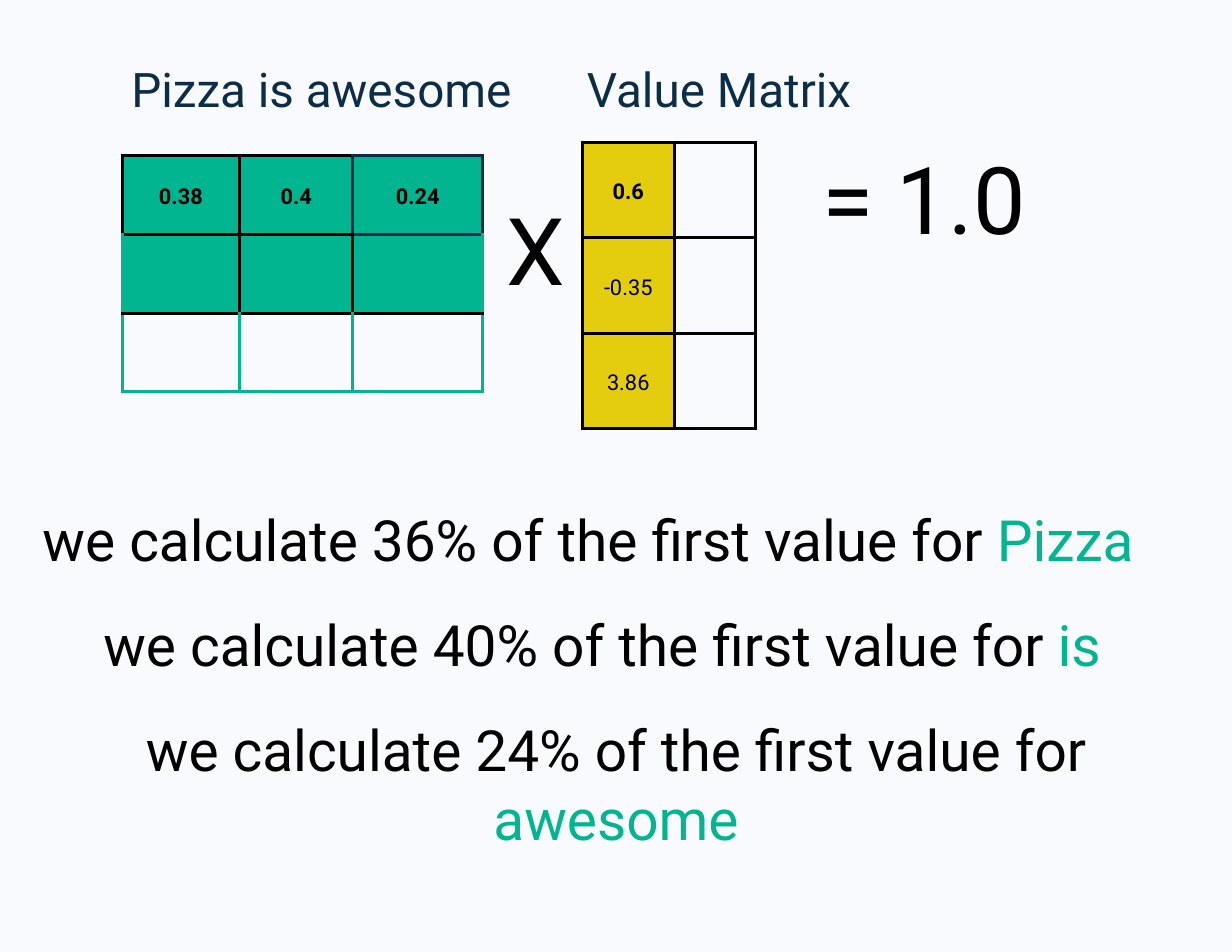
from dataclasses import dataclass
from lxml.etree import SubElement
from pptx import Presentation
from pptx.dml.color import RGBColor
from pptx.enum.text import MSO_ANCHOR, MSO_AUTO_SIZE, PP_ALIGN
from pptx.oxml.ns import qn
from pptx.util import Inches, Pt


@dataclass(frozen=True)
class Theme:
    font: str = "Roboto"
    page: str = "F8FAFD"
    black: str = "000000"
    navy: str = "0C2D48"
    teal: str = "02B591"
    gold: str = "E3CD0E"
    small: float = 14
    head: float = 30.6
    body: float = 36.5
    sign: float = 60
    edge: float = 2.25


THEME = Theme()
INKS = {"K": THEME.black, "N": THEME.navy, "T": THEME.teal}


def write(frame, parts, size, lead, bold=False):
    para = frame.paragraphs[0]
    para.alignment = PP_ALIGN.CENTER
    para.line_spacing = Pt(lead)
    para.font.name = THEME.font
    para.font.size = Pt(size)
    para.font.bold = bold
    for text, ink in parts:
        run = para.add_run()
        run.text = text
        run.font.color.rgb = RGBColor.from_string(ink)


def place(slide, box, parts, size, lead, shape=None):
    area = [Inches(n) for n in box]
    if shape is None:
        shape = slide.shapes.add_textbox(*area)
    else:
        shape.left, shape.top, shape.width, shape.height = area
    frame = shape.text_frame
    frame.word_wrap = True
    frame.auto_size = MSO_AUTO_SIZE.NONE
    frame.vertical_anchor = MSO_ANCHOR.TOP
    frame.margin_left = frame.margin_top = 0
    frame.margin_right = frame.margin_bottom = 0
    write(frame, parts, size, lead)


def rule(cell, inks):
    props = cell._tc.get_or_add_tcPr()
    for side, ink in zip("LRTB", inks):
        line = SubElement(props, qn(f"a:ln{side}"), w=str(Pt(THEME.edge)))
        fill = SubElement(line, qn("a:solidFill"))
        SubElement(fill, qn("a:srgbClr"), val=INKS[ink])


def grid(slide, box, cols, texts, fills, edges, bold):
    area = [Inches(n) for n in box]
    table = slide.shapes.add_table(len(texts), len(cols), *area).table
    table.first_row = table.horz_banding = False
    for col, wide in zip(table.columns, cols):
        col.width = Inches(wide)
    for r, row in enumerate(table.rows):
        for c, cell in enumerate(row.cells):
            rule(cell, edges[r][c])
            if fills[r][c]:
                cell.fill.solid()
                cell.fill.fore_color.rgb = RGBColor.from_string(fills[r][c])
            else:
                cell.fill.background()
            cell.vertical_anchor = MSO_ANCHOR.MIDDLE
            cell.margin_left = cell.margin_right = Inches(0.19)
            cell.margin_top = cell.margin_bottom = Inches(0.19)
            text = texts[r][c]
            parts = [(text, THEME.black)] if text else []
            write(cell.text_frame, parts, THEME.small, 19.6, r in bold)


def weights(slide, box):
    texts = [["0.38", "0.4", "0.24"], [""] * 3, [""] * 3]
    fills = [[THEME.teal] * 3, [THEME.teal] * 3, [None] * 3]
    edges = [["KKKK", "KNKK", "NNNN"],
             ["TKKK", "KKKK", "KTNK"],
             ["TTKT"] * 3]
    grid(slide, box, (1.05, 1.01, 1.16), texts, fills, edges, {0})


def values(slide, box):
    texts = [[text, ""] for text in ("0.6", "-0.35", "3.86")]
    fills = [[THEME.gold, None]] * 3
    grid(slide, box, (0.82, 0.73), texts, fills, [["KKKK"] * 2] * 3, {0})


def heads(slide, left, right):
    place(slide, left, [("Pizza is awesome", THEME.navy)], THEME.head, 37,
          slide.shapes.title)
    place(slide, right, [("Value Matrix", THEME.navy)], THEME.head, 37)


def signs(slide, times, result):
    for box, text in ((times, "X"), (result, "= 1.0")):
        place(slide, box, [(text, THEME.black)], THEME.sign, 72.6)


def steps(slide, box):
    left, top, wide, high = box
    shares = [("36%", "Pizza"), ("40%", "is"), ("24%", "awesome")]
    for i, (share, word) in enumerate(shares):
        spot = (left + 0.125 * i, top + 0.94 * i, wide, high)
        lead = f"we calculate {share} of the first value for "
        parts = [(lead, THEME.black), (word, THEME.teal)]
        place(slide, spot, parts, THEME.body, 44.1)


def main():
    deck = Presentation()
    deck.slide_width, deck.slide_height = Inches(11), Inches(8.5)
    slide = deck.slides.add_slide(deck.slide_layouts[5])
    slide.background.fill.solid()
    slide.background.fill.fore_color.rgb = RGBColor.from_string(THEME.page)
    weights(slide, (1.09, 1.39, 3.22, 2.11))
    values(slide, (5.2, 1.27, 1.55, 2.56))
    signs(slide, (3.65, 1.71, 2.26, 1.01), (7.12, 1.25, 2.26, 1.01))
    heads(slide, (1.04, 0.53, 3.66, 0.52), (4.59, 0.53, 3.66, 0.52))
    steps(slide, (0, 4.5, 10.5, 1.21))
    deck.save("out.pptx")


if __name__ == "__main__":
    main()
